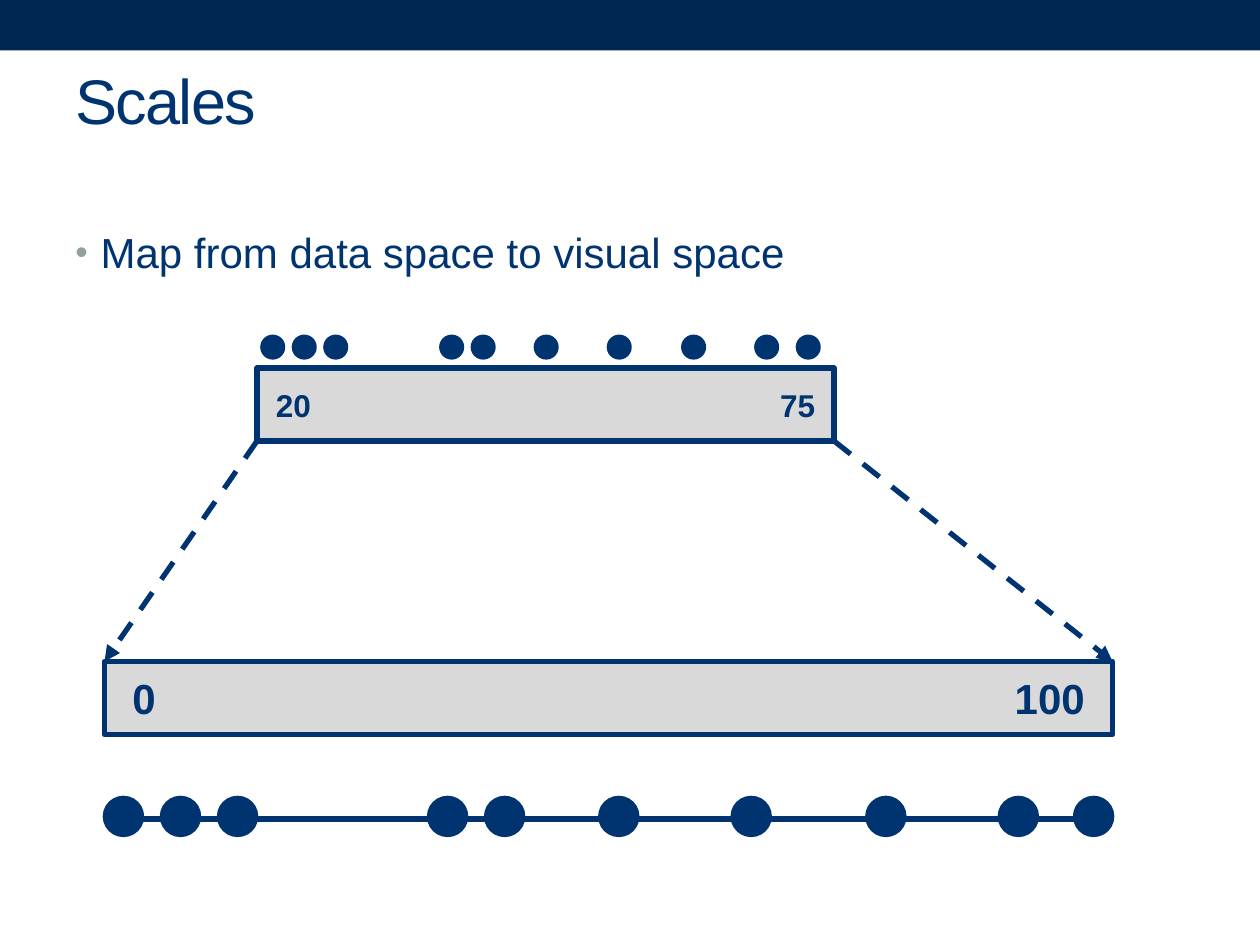
from dataclasses import dataclass

from lxml.etree import SubElement
from pptx import Presentation
from pptx.dml.color import RGBColor
from pptx.enum.dml import MSO_LINE
from pptx.enum.shapes import MSO_CONNECTOR, MSO_SHAPE
from pptx.enum.text import MSO_ANCHOR, PP_ALIGN
from pptx.oxml.ns import qn
from pptx.util import Inches, Pt

NAVY, BAND, GREY, BULLET = "003470", "002652", "D9D9D9", "93A299"


@dataclass
class Scale:
    left: float
    top: float
    width: float
    low: str
    high: str
    size: int
    inset: float
    height: float = 0.58

    @property
    def right(self) -> float:
        return self.left + self.width

    @property
    def bottom(self) -> float:
        return self.top + self.height


@dataclass
class DotRow:
    first: float
    top: float
    diameter: float
    stretch: float


DOMAIN = Scale(2.04, 2.92, 4.58, "20", "75", 18, 0.15)
RANGE = Scale(0.83, 5.25, 8, "0", "100", 24, 0.22)
OFFSETS = [0, 0.25, 0.5, 1.42, 1.67, 2.17, 2.75, 3.34, 3.92, 4.25]
DOT_ROWS = [DotRow(2.08, 2.67, 0.17, 1), DotRow(0.83, 6.33, 0.3, 7.7 / 4.25)]


def rgb(value: str) -> RGBColor:
    return RGBColor.from_string(value)


def set_font(r, size: int, bold: bool = False) -> None:
    for name, value in {"name": "Arial", "size": Pt(size), "bold": bold}.items():
        setattr(r.font, name, value)
    r.font.color.rgb = rgb(NAVY)


def set_frame(tf, **values) -> None:
    for name, value in values.items():
        setattr(tf, name, value)


def add_block(s, kind, left: float, top: float, width: float, height: float,
              fill: str, weight: float = 0):
    sp = s.shapes.add_shape(kind, Inches(left), Inches(top), Inches(width), Inches(height))
    sp.shadow.inherit = False
    sp.fill.solid()
    sp.fill.fore_color.rgb = rgb(fill)
    if weight:
        sp.line.color.rgb = rgb(NAVY)
        sp.line.width = Pt(weight)
    else:
        sp.line.fill.background()
    return sp


def add_scale(s, scale: Scale) -> None:
    sp = add_block(s, MSO_SHAPE.RECTANGLE, scale.left, scale.top,
                   scale.width, scale.height, GREY, 3)
    tf = sp.text_frame
    set_frame(tf, vertical_anchor=MSO_ANCHOR.MIDDLE, word_wrap=True,
              margin_left=Inches(scale.inset), margin_right=0)
    p = tf.paragraphs[0]
    p.alignment = PP_ALIGN.LEFT
    tabs = SubElement(p._p.get_or_add_pPr(), qn("a:tabLst"))
    SubElement(tabs, qn("a:tab"), algn="r", pos=str(Inches(scale.width - 2 * scale.inset)))
    r = p.add_run()
    r.text = f"{scale.low}\t{scale.high}"
    set_font(r, scale.size, True)


def add_line(s, x1: float, y1: float, x2: float, y2: float, arrow: bool = False) -> None:
    line = s.shapes.add_connector(MSO_CONNECTOR.STRAIGHT, Inches(x1), Inches(y1),
                                  Inches(x2), Inches(y2))
    line.line.color.rgb = rgb(NAVY)
    line.line.width = Pt(3)
    if arrow:
        line.line.dash_style = MSO_LINE.DASH
        SubElement(line.line._get_or_add_ln(), qn("a:tailEnd"), type="triangle")
    SubElement(line._element.spPr, qn("a:effectLst"))


def add_dots(s, row: DotRow) -> None:
    for offset in OFFSETS:
        add_block(s, MSO_SHAPE.OVAL, row.first + offset * row.stretch, row.top,
                  row.diameter, row.diameter, NAVY, 2.08)


def add_title(s, text: str) -> None:
    sp = s.shapes.title
    box = {"left": 0.5, "top": 0.25, "width": 9, "height": 1.08}
    for name, value in box.items():
        setattr(sp, name, Inches(value))
    set_frame(sp.text_frame, vertical_anchor=MSO_ANCHOR.MIDDLE, word_wrap=True)
    p = sp.text_frame.paragraphs[0]
    p.alignment = PP_ALIGN.LEFT
    r = p.add_run()
    r.text = text
    set_font(r, 36)
    r.font._element.set("spc", "-100")


def add_bullet(s, text: str) -> None:
    sp = s.shapes.add_textbox(Inches(0.5), Inches(1.75), Inches(9), Inches(5.33))
    sp.text_frame.word_wrap = True
    p = sp.text_frame.paragraphs[0]
    p.space_before = Pt(3)
    pPr = p._p.get_or_add_pPr()
    pPr.set("marL", str(Inches(0.2)))
    pPr.set("indent", str(Inches(-0.2)))
    SubElement(SubElement(pPr, qn("a:buClr")), qn("a:srgbClr"), val=BULLET)
    SubElement(pPr, qn("a:buSzPct"), val="85000")
    SubElement(pPr, qn("a:buFont"), typeface="Arial")
    SubElement(pPr, qn("a:buChar"), char="•")
    r = p.add_run()
    r.text = text
    set_font(r, 24)


def main() -> None:
    prs = Presentation()
    prs.slide_width, prs.slide_height = Inches(10), Inches(7.5)
    s = prs.slides.add_slide(prs.slide_layouts[5])
    add_block(s, MSO_SHAPE.RECTANGLE, 0, 0, 10, 0.4, BAND)
    add_title(s, "Scales")
    add_bullet(s, "Map from data space to visual space")
    for scale in (DOMAIN, RANGE):
        add_scale(s, scale)
    add_line(s, DOMAIN.left, DOMAIN.bottom, RANGE.left, RANGE.top, arrow=True)
    add_line(s, DOMAIN.right, DOMAIN.bottom, RANGE.right, RANGE.top, arrow=True)
    add_line(s, RANGE.left, 6.5, RANGE.right, 6.5)
    for row in DOT_ROWS:
        add_dots(s, row)
    prs.save("out.pptx")


if __name__ == "__main__":
    main()
